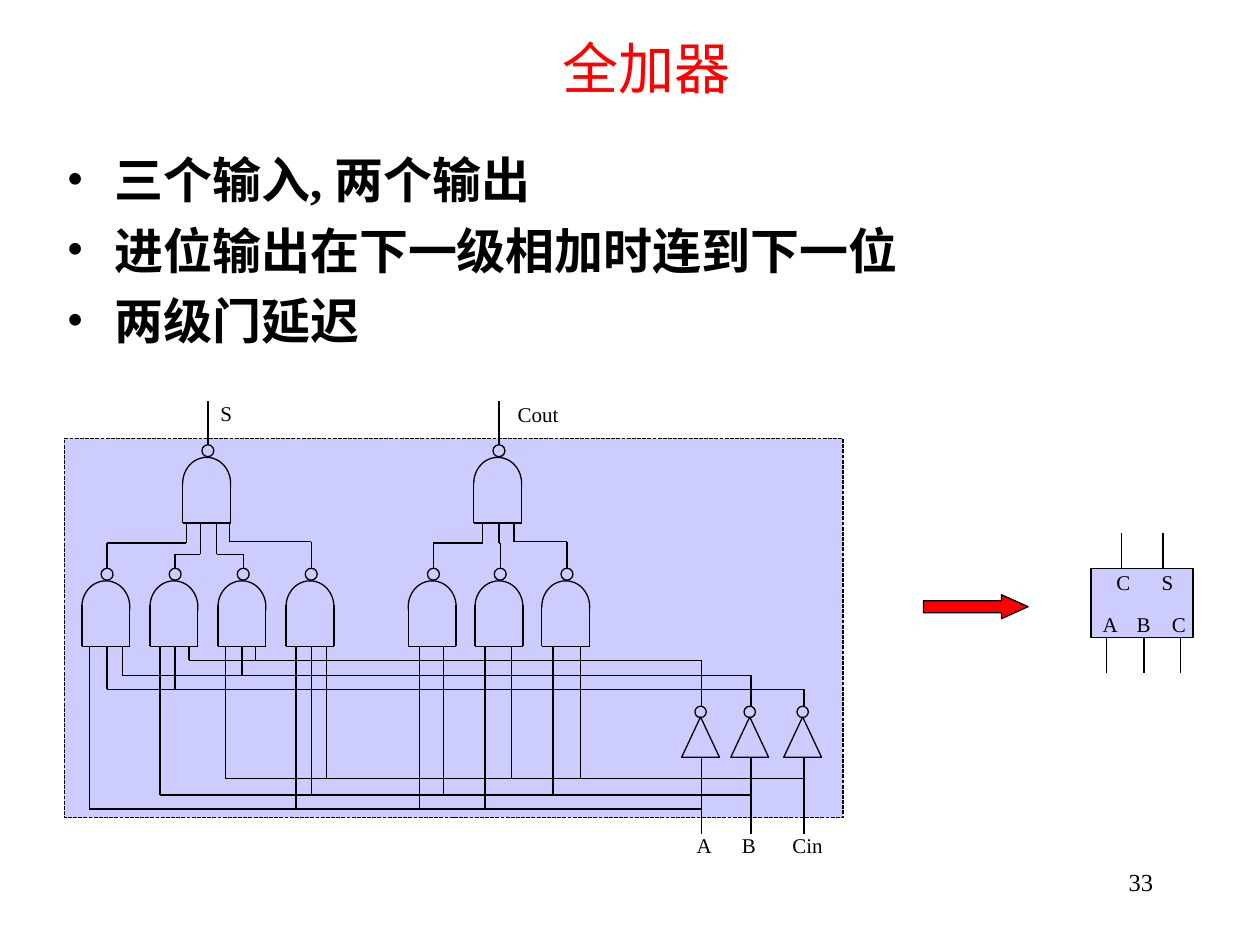
from dataclasses import dataclass

from lxml import etree
from pptx import Presentation
from pptx import util as u
from pptx.dml.color import RGBColor
from pptx.enum import dml, shapes, text
from pptx.oxml import ns

BLACK = RGBColor(0, 0, 0)
RED = RGBColor(0xFF, 0, 0)
LAVENDER = RGBColor(0xCC, 0xCC, 0xFF)
SERIF = "Times New Roman"
PRESET = shapes.MSO_SHAPE

SLIDE_WIDTH, SLIDE_HEIGHT = u.Inches(10), u.Inches(7.5)
CELL = SLIDE_WIDTH / 100  # the grid has 100 columns and 75 rows

GATE_WIDTH, GATE_HEIGHT = 3.8, 5.2
BUBBLE = 0.95
GATE_CENTRE = GATE_WIDTH / 2 + 0.1
OUTPUT_ROW, PRODUCT_ROW = 1.5, 11.3


@dataclass
class Box:
    """A region of the slide, in columns and rows."""
    left: float
    top: float
    width: float
    height: float

    def inner(self, left, top, width, height):
        return Box(self.left + left, self.top + top, width, height)

    def emu(self):
        return [u.Emu(round(side * CELL)) for side in
                (self.left, self.top, self.width, self.height)]


def add_block(parent, preset, box, fill=None, outlined=True):
    block = parent.add_shape(preset, *box.emu())
    block.shadow.inherit = False
    if fill is None:
        block.fill.background()
    else:
        block.fill.solid()
        block.fill.fore_color.rgb = fill
    if outlined:
        block.line.color.rgb = BLACK
        block.line.width = u.Pt(0.75)
    else:
        block.line.fill.background()
    return block


def add_wire(parent, box, *points):
    """Joins points, given relative to the box, with straight lines."""
    for start, end in zip(points, points[1:]):
        ends = [u.Emu(round(value * CELL)) for x, y in (start, end)
                for value in (box.left + x, box.top + y)]
        wire = parent.add_connector(shapes.MSO_CONNECTOR.STRAIGHT, *ends)
        wire.line.color.rgb = BLACK
        wire.line.width = u.Pt(0.75)
        etree.SubElement(wire._element.spPr, ns.qn("a:effectLst"))


def format_paragraph(paragraph, size, color=BLACK, font=SERIF, bold=False):
    for run in paragraph.runs:
        run.font.size = u.Pt(size)
        run.font.name = font
        run.font.bold = bold
        run.font.color.rgb = color


def add_label(parent, box, words, stops=(), inset=1):
    """Writes words in one line, each after the first at its tab stop."""
    frame = parent.add_textbox(*box.emu()).text_frame
    frame.word_wrap = True
    frame.margin_left = frame.margin_right = u.Emu(round(inset * CELL))
    frame.margin_top = frame.margin_bottom = u.Emu(round(inset * CELL / 2))
    paragraph = frame.paragraphs[0]
    paragraph.text = "\t".join(words)
    paragraph.space_before = u.Pt(7.5)
    format_paragraph(paragraph, 12)
    if stops:
        tabs = etree.SubElement(paragraph._p.get_or_add_pPr(), ns.qn("a:tabLst"))
        for stop in stops:
            etree.SubElement(tabs, ns.qn("a:tab"), pos=str(round(stop * CELL)), algn="l")


def add_title(slide, box):
    title = slide.shapes.title
    title.left, title.top, title.width, title.height = box.emu()
    frame = title.text_frame
    frame.text = "全加器"
    frame.vertical_anchor = text.MSO_ANCHOR.MIDDLE
    frame.paragraphs[0].alignment = text.PP_ALIGN.CENTER
    format_paragraph(frame.paragraphs[0], 32, RED, "Arial")


def add_bullets(slide, box, lines):
    frame = slide.shapes.add_textbox(*box.emu()).text_frame
    frame.word_wrap = True
    frame.text = "\n".join(lines)
    for paragraph in frame.paragraphs:
        paragraph.line_spacing = 1.1
        paragraph.space_before = u.Pt(3.5)
        format_paragraph(paragraph, 28, bold=True)
        properties = paragraph._p.get_or_add_pPr()
        indent = u.Inches(0.38)
        properties.set("marL", str(indent))
        properties.set("indent", str(-indent))
        etree.SubElement(properties, ns.qn("a:buFont"), typeface=SERIF)
        etree.SubElement(properties, ns.qn("a:buChar"), char="•")


def add_nand_gate(slide, box):
    parts = slide.shapes.add_group_shape().shapes
    add_block(parts, PRESET.OVAL, box.inner(0, 0, GATE_WIDTH, 4.1), LAVENDER)
    add_block(parts, PRESET.RECTANGLE, box.inner(0, 2.1, GATE_WIDTH, 2.2), LAVENDER, False)
    add_wire(parts, box, (0, 1.9), (0, GATE_HEIGHT), (GATE_WIDTH, GATE_HEIGHT),
             (GATE_WIDTH, 1.9))
    add_block(parts, PRESET.OVAL, box.inner(GATE_CENTRE - BUBBLE / 2, -1, BUBBLE, BUBBLE),
              LAVENDER)


def add_inverter(slide, box):
    parts = slide.shapes.add_group_shape().shapes
    triangle = add_block(parts, PRESET.FLOWCHART_MERGE, box)
    triangle.rotation = 180
    add_block(parts, PRESET.OVAL, box.inner(1.05, -0.85, 0.9, 0.9))
    add_wire(parts, box, (1.6, box.height), (1.6, 9.3))


def add_circuit(slide, box):
    parent = slide.shapes
    panel = add_block(parent, PRESET.RECTANGLE, box, LAVENDER)
    panel.line.dash_style = dml.MSO_LINE.SQUARE_DOT

    outputs = [9.4, 32.5]
    products = [1.4 + 5.4 * i for i in range(4)] + [27.3 + 5.3 * i for i in range(3)]
    for row, lefts in ((OUTPUT_ROW, outputs), (PRODUCT_ROW, products)):
        for left in lefts:
            add_nand_gate(slide, box.inner(left, row, GATE_WIDTH, GATE_HEIGHT))
    for left in outputs:
        add_wire(parent, box, (left + GATE_CENTRE, 0.5), (left + GATE_CENTRE, -3))

    # each product gate: row of the bend, column where it enters the output gate
    bends = [(8.3, 9.7), (9.2, 10.8), (9.2, 12.1), (8.2, 13.1),
             (8.3, 33.2), (8.3, 34.5), (8.2, 35.7)]
    for left, (bend, entry) in zip(products, bends):
        centre = left + GATE_CENTRE
        add_wire(parent, box, (centre, PRODUCT_ROW - 1), (centre, bend), (entry, bend),
                 (entry, OUTPUT_ROW + GATE_HEIGHT))

    # each input: inverter, bus row and taps, then inverted bus row and taps
    inputs = [(49.0, 29.4, (2.0, 18.4, 28.2, 33.4), 17.6, (9.9, 15.2)),
              (52.9, 28.3, (7.6, 19.6, 30.1, 38.8), 18.8, (4.6, 14.1)),
              (57.1, 27.0, (12.8, 20.8, 35.5, 41.0), 19.9, (3.4, 8.8))]
    for left, bus, taps, inverted_bus, inverted_taps in inputs:
        add_inverter(slide, box.inner(left, 22.1, 3, 3.2))
        end = left + 1.6
        add_wire(parent, box, (end, 21.2), (end, inverted_bus))
        for row, columns in ((bus, taps), (inverted_bus, inverted_taps)):
            add_wire(parent, box, (columns[0], row), (end, row))
            for column in columns:
                add_wire(parent, box, (column, row), (column, PRODUCT_ROW + GATE_HEIGHT))

    add_label(parent, box.inner(11.4, -3.5, 3.2, 3), ["S"])
    add_label(parent, box.inner(35, -3.4, 6.5, 3), ["Cout"])
    add_label(parent, box.inner(49.2, 30.8, 12.9, 3), ["A", "B", "Cin"], (3.6, 7.6))


def add_symbol(slide, box):
    parts = slide.shapes.add_group_shape().shapes
    add_block(parts, PRESET.RECTANGLE, box, LAVENDER)
    add_label(parts, box.inner(0.9, 3.4, 7.2, 2), ["A", "B", "C"], (2.7, 5.5), inset=0)
    add_label(parts, box.inner(2, 0.1, 5, 2), ["C", "S"], (3.6,), inset=0)
    pin = 2.8
    for column in (1.2, 4.2, 7.1):
        add_wire(parts, box, (column, box.height), (column, box.height + pin))
    for column in (2.4, 5.7):
        add_wire(parts, box, (column, -pin), (column, 0))


def add_page_number(slide, box):
    frame = slide.shapes.add_textbox(*box.emu()).text_frame
    frame.word_wrap = True
    frame.text = "33"
    frame.paragraphs[0].alignment = text.PP_ALIGN.RIGHT
    format_paragraph(frame.paragraphs[0], 14)


def main():
    presentation = Presentation()
    presentation.slide_width, presentation.slide_height = SLIDE_WIDTH, SLIDE_HEIGHT
    slide = presentation.slides.add_slide(presentation.slide_layouts[5])
    add_title(slide, Box(8.8, 0, 85, 10.6))
    add_bullets(slide, Box(4.3, 10.9, 92.2, 18.7),
                ["三个输入, 两个输出", "进位输出在下一级相加时连到下一位", "两级门延迟"])
    add_circuit(slide, Box(5.1, 34.8, 61.8, 30.1))
    arrow = add_block(slide.shapes, PRESET.RIGHT_ARROW, Box(73.3, 47.2, 8.3, 1.9), RED)
    arrow.adjustments[1] = 1.11
    add_symbol(slide, Box(86.6, 45.1, 8.1, 5.5))
    add_page_number(slide, Box(71.7, 68.3, 20.8, 5))
    presentation.save("out.pptx")


if __name__ == "__main__":
    main()
